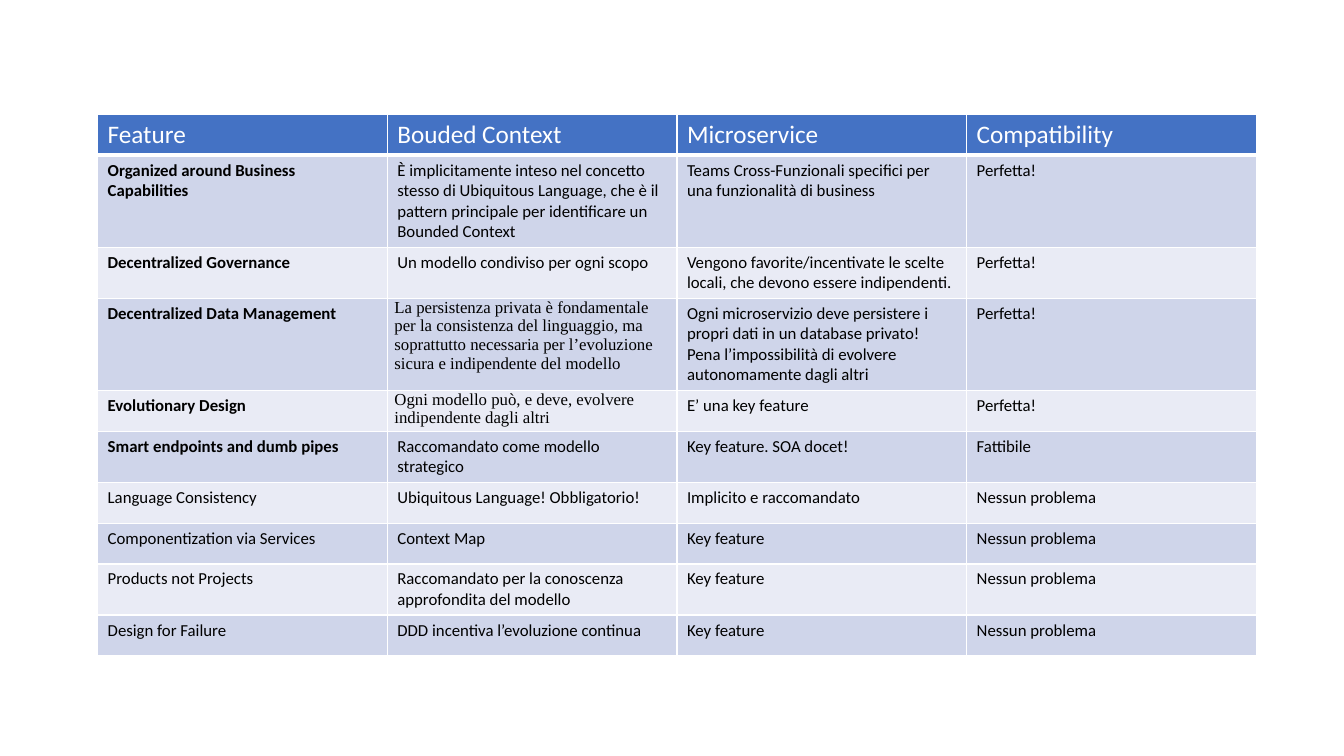
from dataclasses import dataclass
from typing import Optional

from lxml import etree
from pptx import Presentation
from pptx import util as u
from pptx.dml.color import RGBColor
from pptx.oxml import ns
from pptx.table import _Cell


@dataclass(frozen=True)
class Theme:
    header_fill: str = "4472C4"
    odd_fill: str = "CFD5EA"
    even_fill: str = "E9EBF5"
    border: str = "FFFFFF"
    header_text: str = "FFFFFF"
    body_text: str = "000000"
    font: str = "Calibri"
    serif: str = "Times New Roman"
    header_size: int = 18
    body_size: int = 12
    border_width: int = 1
    header_rule: int = 3


@dataclass(frozen=True)
class Feature:
    name: str
    bounded_context: str
    microservice: str
    compatibility: str
    bold: bool = False
    serif_context: bool = False

    def texts(self) -> tuple[str, ...]:
        return self.name, self.bounded_context, self.microservice, self.compatibility


@dataclass(frozen=True)
class CellStyle:
    fill: str
    color: str
    size: int
    font: str
    bold: bool = False
    bottom_width: int = 1
    side_margin: Optional[float] = None


THEME = Theme()
HEADER = ("Feature", "Bouded Context", "Microservice", "Compatibility")
FEATURES = (
    Feature("Organized around Business Capabilities",
            "È implicitamente inteso nel concetto stesso di Ubiquitous Language, "
            "che è il pattern principale per identificare un Bounded Context",
            "Teams Cross-Funzionali specifici per una funzionalità di business",
            "Perfetta!", bold=True),
    Feature("Decentralized Governance",
            "Un modello condiviso per ogni scopo",
            "Vengono favorite/incentivate le scelte locali, "
            "che devono essere indipendenti.",
            "Perfetta!", bold=True),
    Feature("Decentralized Data Management",
            "La persistenza privata è fondamentale per la consistenza del linguaggio, "
            "ma soprattutto necessaria per l’evoluzione sicura e indipendente del modello",
            "Ogni microservizio deve persistere i propri dati in un database privato! "
            "Pena l’impossibilità di evolvere autonomamente dagli altri",
            "Perfetta!", bold=True, serif_context=True),
    Feature("Evolutionary Design",
            "Ogni modello può, e deve, evolvere indipendente dagli altri",
            "E’ una key feature", "Perfetta!", bold=True, serif_context=True),
    Feature("Smart endpoints and dumb pipes",
            "Raccomandato come modello strategico",
            "Key feature. SOA docet!", "Fattibile", bold=True),
    Feature("Language Consistency", "Ubiquitous Language! Obbligatorio!",
            "Implicito e raccomandato", "Nessun problema"),
    Feature("Componentization via Services", "Context Map",
            "Key feature", "Nessun problema"),
    Feature("Products not Projects",
            "Raccomandato per la conoscenza approfondita del modello",
            "Key feature", "Nessun problema"),
    Feature("Design for Failure", "DDD incentiva l’evoluzione continua",
            "Key feature", "Nessun problema"),
)
LEFT, TOP = 2.46, 2.88
COLUMN_WIDTH, ROW_HEIGHT = 7.3, 1.03
SERIF_MARGIN = 0.18


def set_borders(cell: _Cell, bottom_width: int) -> None:
    """Outline the cell; must run before its fill is set."""
    tc_pr = cell._tc.get_or_add_tcPr()
    for side in "LRTB":
        width = bottom_width if side == "B" else THEME.border_width
        ln = etree.SubElement(tc_pr, ns.qn(f"a:ln{side}"), w=str(u.Pt(width)))
        fill = etree.SubElement(ln, ns.qn("a:solidFill"))
        etree.SubElement(fill, ns.qn("a:srgbClr"), val=THEME.border)


def fill_cell(cell: _Cell, content: str, style: CellStyle) -> None:
    set_borders(cell, style.bottom_width)
    cell.fill.solid()
    cell.fill.fore_color.rgb = RGBColor.from_string(style.fill)
    if style.side_margin is not None:
        cell.margin_left = cell.margin_right = u.Cm(style.side_margin)
        cell.margin_top = cell.margin_bottom = 0
    cell.text = content
    font = cell.text_frame.paragraphs[0].font
    font.name = style.font
    font.size = u.Pt(style.size)
    font.bold = style.bold
    font.color.rgb = RGBColor.from_string(style.color)


def body_style(feature: Feature, row: int, column: int) -> CellStyle:
    serif = feature.serif_context and column == 1
    return CellStyle(
        fill=THEME.odd_fill if row % 2 else THEME.even_fill,
        color=THEME.body_text,
        size=THEME.body_size,
        font=THEME.serif if serif else THEME.font,
        bold=feature.bold and column == 0,
        side_margin=SERIF_MARGIN if serif else None,
    )


def main() -> None:
    prs = Presentation()
    prs.slide_width, prs.slide_height = u.Cm(33.87), u.Cm(19.05)
    slide = prs.slides.add_slide(prs.slide_layouts[6])

    rows, columns = len(FEATURES) + 1, len(HEADER)
    table = slide.shapes.add_table(
        rows, columns, u.Cm(LEFT), u.Cm(TOP),
        u.Cm(columns * COLUMN_WIDTH), u.Cm(rows * ROW_HEIGHT)).table

    header_style = CellStyle(THEME.header_fill, THEME.header_text, THEME.header_size,
                             THEME.font, bottom_width=THEME.header_rule)
    for column, title in enumerate(HEADER):
        fill_cell(table.cell(0, column), title, header_style)
    for row, feature in enumerate(FEATURES, start=1):
        for column, content in enumerate(feature.texts()):
            fill_cell(table.cell(row, column), content, body_style(feature, row, column))

    prs.save("out.pptx")


if __name__ == "__main__":
    main()
